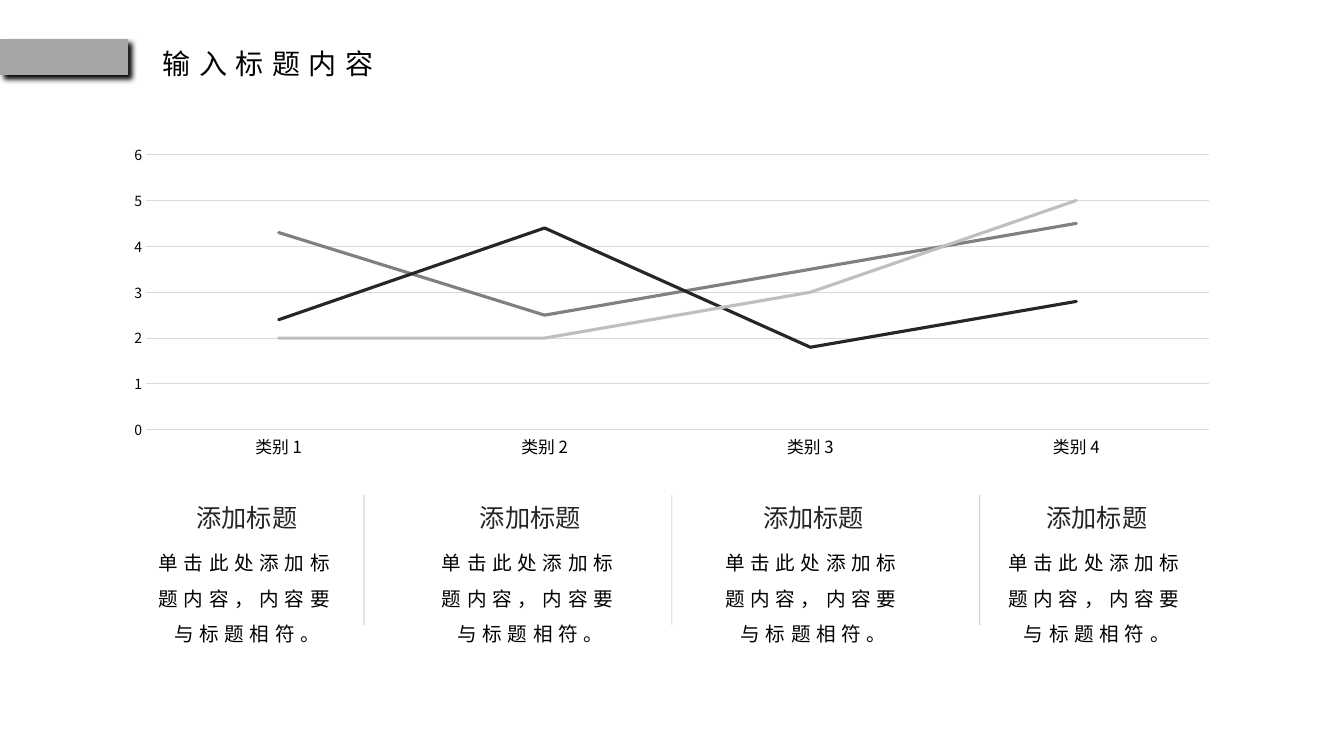
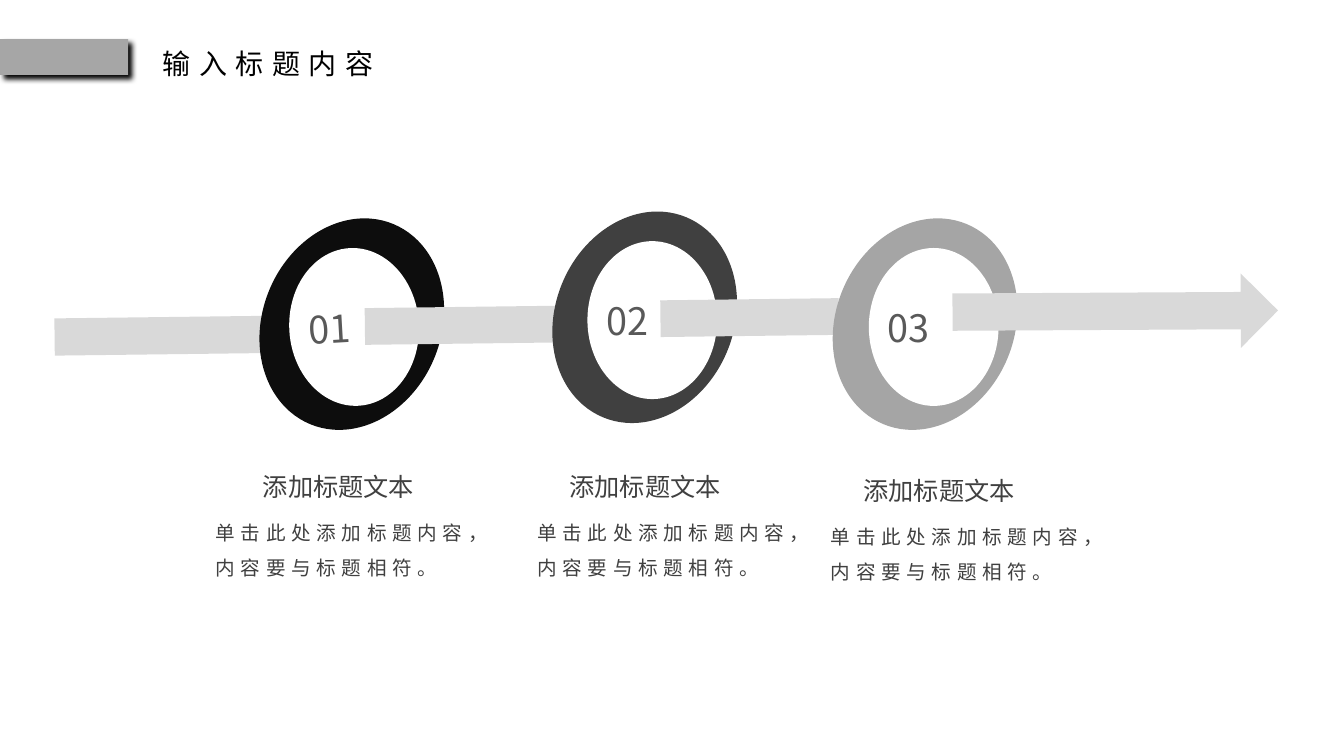
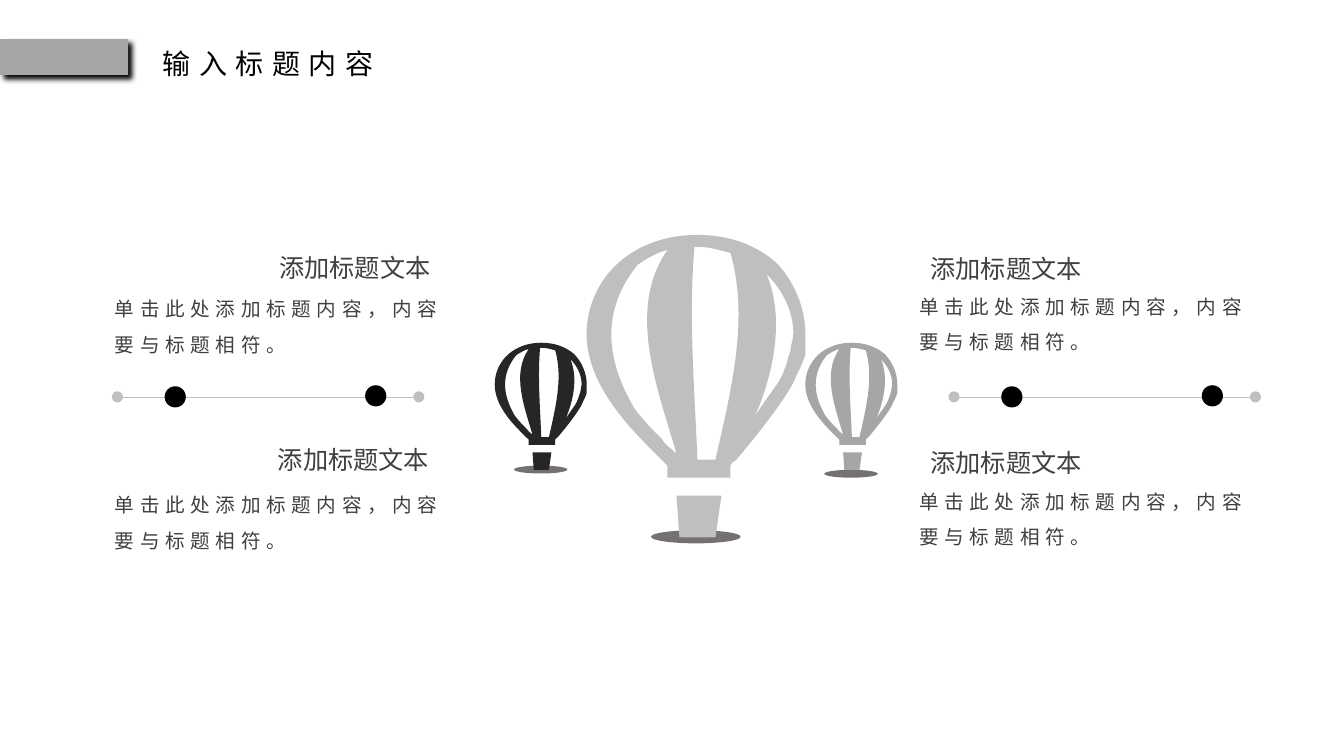
from dataclasses import dataclass

from lxml.etree import SubElement
from pptx import Presentation
from pptx.chart.data import CategoryChartData
from pptx.dml.color import RGBColor
from pptx.enum.chart import XL_CHART_TYPE, XL_TICK_MARK
from pptx.enum.shapes import MSO_CONNECTOR, MSO_SHAPE
from pptx.enum.text import MSO_ANCHOR, MSO_AUTO_SIZE, PP_ALIGN
from pptx.oxml.ns import qn
from pptx.util import Inches, Pt


@dataclass(frozen=True)
class Theme:
    font: str = "Noto Sans CJK SC"
    black: str = "000000"
    white: str = "FFFFFF"
    jet: str = "0D0D0D"
    coal: str = "262626"
    dark: str = "404040"
    slate: str = "595959"
    stone: str = "767171"
    mid: str = "808080"
    ash: str = "A5A5A5"
    gray: str = "A6A6A6"
    light: str = "BFBFBF"
    pale: str = "D9D9D9"
    title: float = 20
    head: float = 18
    body: float = 14
    label: float = 12
    tick: float = 10
    number: float = 27


LOOK = Theme()
HEIGHT = Inches(7.5)
WIDTH = HEIGHT * 16 // 9
COLS = 128  # square cells, so 72 rows
CELL = WIDTH / COLS
HEAD = "添加标题文本"
BODY = "单击此处添加标题内容，内容要与标题相符。"

# Each outline is a start point, then lines (2 numbers) and curves (6 numbers)
BALLOON_COLS = 73
BALLOON = [
    [(37, 0), (47, 0, 56, 3, 63, 9), (69, 15, 73, 24, 73, 33), (73, 40),
     (72, 43, 71, 45, 70, 47), (68, 53, 56, 68, 50, 75),
     (49, 76, 48, 76, 48, 77), (48, 81), (27, 81), (27, 77), (21, 71),
     (11, 61, 0, 48, 0, 33), (0, 24, 4, 15, 11, 9), (18, 3, 27, 0, 37, 0)],
    [(45, 87), (43, 101), (31, 101), (30, 87), (45, 87)],
    [(37, 75), (43, 75), (49, 49, 54, 27, 48, 6), (44, 5, 41, 4, 37, 4),
     (36, 4), (34, 27, 36, 51, 37, 75)],
    [(17, 10), (5, 25, 6, 41, 16, 58), (19, 62, 22, 65, 25, 68),
     (26, 70, 28, 71, 30, 73), (24, 52, 13, 25, 27, 5),
     (23, 6, 20, 8, 17, 10)],
    [(60, 13), (66, 27, 63, 45, 56, 61), (60, 54, 65, 49, 66, 45),
     (67, 43, 67, 41, 68, 39), (68, 37, 69, 35, 69, 33),
     (69, 25, 65, 18, 60, 13)],
]


def cells(*counts):
    return [round(count * CELL) for count in counts]


def color(code):
    return RGBColor.from_string(code)


def add_ea(props):
    """Use the theme font for Chinese text as well."""
    SubElement(props, qn("a:ea")).set("typeface", LOOK.font)


def style(font, size, code):
    font.name = LOOK.font
    font.size = Pt(size)
    font.color.rgb = color(code)


def write(shape, text, size, code, gap=0, align=PP_ALIGN.LEFT, lead=None):
    """Add one run; gap is the letter spacing in points."""
    para = shape.text_frame.paragraphs[0]
    para.alignment = align
    para.line_spacing = lead
    run = para.add_run()
    run.text = text
    style(run.font, size, code)
    props = next(shape.element.iter(qn("a:rPr")))
    if gap:
        props.set("spc", str(gap * 100))
    add_ea(props)


def fit(shape, wrap=True):
    shape.text_frame.word_wrap = wrap
    shape.text_frame.auto_size = MSO_AUTO_SIZE.SHAPE_TO_FIT_TEXT


def add_text(slide, box, text, size, code, gap=0, align=PP_ALIGN.LEFT,
             lead=1.5, wrap=True):
    shape = slide.shapes.add_textbox(*cells(*box))
    fit(shape, wrap)
    write(shape, text, size, code, gap, align, lead)
    return shape


def add_form(slide, kind, box, code=None, turn=0):
    """Draw a preset shape without outline; no code means no fill."""
    shape = slide.shapes.add_shape(kind, *cells(*box))
    shape.shadow.inherit = False
    shape.line.fill.background()
    shape.rotation = turn
    if code:
        shape.fill.solid()
        shape.fill.fore_color.rgb = color(code)
    else:
        shape.fill.background()
    return shape


def add_dot(slide, x, y, size, code):
    """Draw a round dot centred on x, y."""
    box = (x - size / 2, y - size / 2, size, size)
    add_form(slide, MSO_SHAPE.OVAL, box, code)


def add_line(slide, ends, code, alpha=100):
    line = slide.shapes.add_connector(MSO_CONNECTOR.STRAIGHT, *cells(*ends))
    line.line.color.rgb = color(code)
    line.line.width = Pt(0.5)
    props = line.element.find(qn("p:spPr"))
    SubElement(props, qn("a:effectLst"))
    if alpha < 100:
        tint = next(props.iter(qn("a:srgbClr")))
        SubElement(tint, qn("a:alpha")).set("val", str(alpha * 1000))


def add_note(slide, head, body, wide):
    """Put a heading and its paragraph at two top-left points."""
    label = add_form(slide, MSO_SHAPE.ROUNDED_RECTANGLE, (*head, 16.45, 4.95))
    label.adjustments[0] = 0
    label.text_frame.vertical_anchor = MSO_ANCHOR.TOP
    fit(label)
    write(label, HEAD, LOOK.head, LOOK.dark, lead=1.5)
    add_text(slide, (*body, wide, 7.5), BODY, LOOK.body, LOOK.dark, 4)


def bend(shape, parts):
    """Turn the straight segments that stand for curves into Bezier curves."""
    for line, part in zip(list(shape.element.iter(qn("a:lnTo"))), parts):
        if len(part) == 2:
            continue
        curve = line.makeelement(qn("a:cubicBezTo"))
        for x, y in zip(part[::2], part[1::2]):
            SubElement(curve, qn("a:pt"), x=str(x - shape.left),
                       y=str(y - shape.top))
        line.getparent().replace(line, curve)


def add_balloon(slide, x, y, wide, code):
    unit = wide / BALLOON_COLS
    pen, parts = None, []
    for outline in BALLOON:
        start, *rest = [
            cells(*((y if i % 2 else x) + n * unit
                    for i, n in enumerate(part)))
            for part in outline]
        if pen is None:
            pen = slide.shapes.build_freeform(*start, scale=1.0)
        else:
            pen.move_to(*start)
        pen.add_line_segments([part[-2:] for part in rest], close=True)
        parts += rest
    shape = pen.convert_to_shape()
    bend(shape, parts)
    shape.shadow.inherit = False
    shape.fill.solid()
    shape.fill.fore_color.rgb = color(code)
    shape.line.fill.background()


def add_track(slide, x):
    y = 37.85
    add_line(slide, (x, y, x + 29, y), LOOK.light)
    for shift in (0.05, 28.75):
        add_dot(slide, x + shift, y - 0.05, 1.06, LOOK.light)
    for shift, rise in ((24.65, 0.15), (5.55, 0.05)):
        add_dot(slide, x + shift, y - rise, 2.02, LOOK.black)


def add_graph(slide, box, names, rows):
    data = CategoryChartData()
    data.categories = names
    for index, (values, _) in enumerate(rows, 1):
        data.add_series(f"Series {index}", values)
    chart = slide.shapes.add_chart(
        XL_CHART_TYPE.LINE, *cells(*box), data).chart
    chart.has_legend = False
    chart.has_title = False
    style(chart.font, LOOK.tick, LOOK.black)
    plot = chart.plots[0]
    plot.vary_by_categories = False
    for series, (_, code) in zip(plot.series, rows):
        series.smooth = False
        series.format.line.color.rgb = color(code)
        series.format.line.width = Pt(2.25)
        next(series.format.line.fill and chart.element.iter(qn("c:ser")))
    for line in chart.element.iter(qn("a:ln")):
        line.set("cap", "rnd")
    base, scale = chart.category_axis, chart.value_axis
    base.major_tick_mark = scale.major_tick_mark = XL_TICK_MARK.NONE
    style(base.tick_labels.font, LOOK.label, LOOK.black)
    style(scale.tick_labels.font, LOOK.tick, LOOK.black)
    scale.minimum_scale, scale.maximum_scale, scale.major_unit = 0, 6, 1
    scale.format.line.fill.background()
    for line in (base.format.line, scale.major_gridlines.format.line):
        line.color.rgb = color(LOOK.pale)
        line.width = Pt(0.75)
    for props in chart.element.iter(qn("a:defRPr")):
        add_ea(props)


def set_layout(layout, slide):
    """Draw the band and title once, then move them to the layout."""
    for holder in list(layout.placeholders):
        holder.element.getparent().remove(holder.element)
    band = add_form(slide, MSO_SHAPE.RECTANGLE, (0, 3.74, 12.2, 3.4),
                    LOOK.gray)
    effect = next(band.element.iter(qn("a:effectLst")))
    shade = SubElement(effect, qn("a:outerShdw"), blurRad=str(Pt(4)),
                       dist=str(Pt(4)), dir=str(40 * 60000), algn="tl",
                       rotWithShape="0")
    tint = SubElement(shade, qn("a:srgbClr"), val=LOOK.black)
    SubElement(tint, qn("a:alpha"), val="99000")
    title = add_text(slide, (14.05, 3.98, 22.95, 4.2), "输入标题内容",
                     LOOK.title, LOOK.black, 6, PP_ALIGN.CENTER, None, False)
    for shape in (band, title):
        layout.shapes.element.append(shape.element)


def fill_trend(slide):
    add_graph(slide, (10.65, 13.15, 106.65, 31.2),
              [f"类别 {index}" for index in range(1, 5)],
              [((4.3, 2.5, 3.5, 4.5), LOOK.mid),
               ((2.4, 4.4, 1.8, 2.8), LOOK.coal),
               ((2, 2, 3, 5), LOOK.light)])
    for index in range(3):
        x = 34.66 + index * 29.33
        add_line(slide, (x, 47.14, x, 59.52), LOOK.gray, 82)
    for index in range(4):
        x = 13.73 + index * 26.98
        add_text(slide, (x, 50.9, 19.6, 10.85), BODY, LOOK.body, LOOK.black,
                 4, PP_ALIGN.CENTER)
        add_text(slide, (x + 1.82, 45.95, 15.95, 5), "添加标题", LOOK.head,
                 LOOK.coal, align=PP_ALIGN.CENTER)


def fill_steps(slide):
    steps = [
        ((5.2, 30.15, 28.6, 3.55), (25, 20.55), 27.55, -3.3, LOOK.jet),
        ((34.75, 29.2, 24, 3.5), (52.9, 19.9), 55.95, 0, LOOK.dark),
        ((62.9, 28.5, 17, 3.5), (79.6, 20.55), 82.75, 0, LOOK.ash),
    ]
    for index, (bar, ring, left, turn, code) in enumerate(steps, 1):
        add_form(slide, MSO_SHAPE.RECTANGLE, bar, LOOK.pale, -0.7)
        add_form(slide, MSO_SHAPE.OVAL, (*ring, 17, 20.64), code, 22.6)
        disc = add_form(slide, MSO_SHAPE.OVAL,
                        (left, ring[1] + 3.07, 12.36, 15.04),
                        LOOK.white, turn)
        frame = disc.text_frame
        frame.margin_left = frame.margin_top = frame.margin_bottom = 0
        frame.margin_right = Inches(0.09)
        frame.vertical_anchor = MSO_ANCHOR.MIDDLE
        write(disc, f"{index:02}", LOOK.number, LOOK.slate)
    add_form(slide, MSO_SHAPE.RIGHT_ARROW, (90.72, 26.1, 31, 7.1), LOOK.pale,
             -0.3)
    for head, left, top, wide in ((24.1, 19.6, 43, 26.4),
                                  (53.3, 50.25, 43, 26.4),
                                  (81.3, 78.2, 43.4, 27.7)):
        add_note(slide, (head, top), (left, top + 5), wide)


def fill_flight(slide):
    for shade, place, code in (
            ((62, 50.5, 8.55, 1.25), (55.87, 22.37, 20.83), LOOK.light),
            ((78.5, 44.75, 5.1, 0.75), (76.7, 32.64, 8.76), LOOK.gray),
            ((48.95, 44.35, 5.1, 0.75), (47.12, 32.64, 8.76), LOOK.coal)):
        add_form(slide, MSO_SHAPE.OVAL, shade, LOOK.stone)
        add_balloon(slide, *place, code)
    for x in (11.14, 90.82):
        add_track(slide, x)
    for head, body in (((87.67, 40.7), (86.6, 45.04)),
                       ((87.67, 22.2), (86.6, 26.5)),
                       ((25.65, 22.1), (10, 26.73)),
                       ((25.52, 40.4), (10, 45.4))):
        add_note(slide, head, body, 34.94)


def main():
    deck = Presentation()
    deck.slide_width, deck.slide_height = WIDTH, HEIGHT
    blank = deck.slide_layouts[6]
    pages = [deck.slides.add_slide(blank) for _ in range(3)]
    set_layout(blank, pages[0])
    for fill, page in zip((fill_trend, fill_steps, fill_flight), pages):
        fill(page)
    deck.save("out.pptx")


if __name__ == "__main__":
    main()
